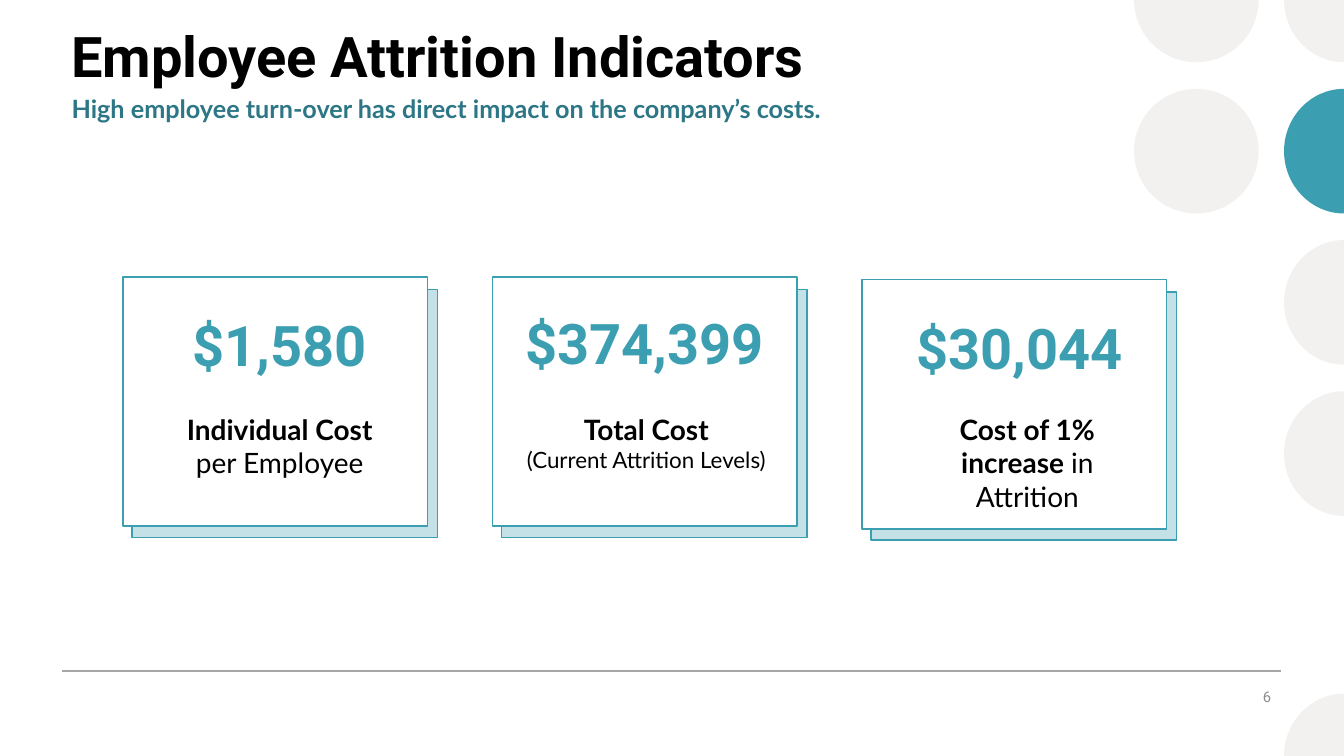
from lxml.etree import SubElement
from pptx import Presentation
from pptx.dml.color import RGBColor
from pptx.enum.shapes import MSO_CONNECTOR, MSO_SHAPE
from pptx.enum.text import MSO_ANCHOR as Anchor, PP_ALIGN as Align
from pptx.oxml.ns import qn
from pptx.util import Cm, Pt

# Content
TITLE = "Employee Attrition Indicators"
SUBTITLE = "High employee turn-over has direct impact on the company’s costs."
PAGE_NUMBER = "6"
# Label paragraphs hold runs of (text, size, bold); lengths are in cm
INDICATORS = [
    dict(figure="$1,580", card_top=6.98, figure_center=7.05, figure_top=7.70,
         label_center=7.05, label_width=6.02,
         label=[[("Individual Cost ", 20, True), ("per Employee", 20, False)]]),
    dict(figure="$374,399", card_top=6.98, figure_center=16.24, figure_top=7.65,
         label_center=16.29, label_width=7.16,
         label=[[("Total Cost", 20, True)],
                [("(Current Attrition Levels)", 16, False)]]),
    dict(figure="$30,044", card_top=7.05, figure_center=25.69, figure_top=7.77,
         label_center=25.89, label_width=6.55,
         label=[[("Cost of 1% increase ", 20, True), ("in Attrition", 20, False)]]),
]
COLORS = dict(teal="3B9EB1", dark_teal="2C7685", dot="F3F1F0", rule="A6A6A6",
              number="8C8C8C", black="000000", white="FFFFFF")

# Layout, in cm
SLIDE_W, SLIDE_H = 33.87, 19.05
CARD_LEFT, CARD_PITCH = 3.10, 9.31
CARD_W, CARD_H = 7.68, 6.28
SHADE_W, SHADE_H = 7.70, 6.25
SHADE_DX, SHADE_DY = 0.23, 0.31
FIGURE_W, FIGURE_H = 7.24, 1.96
LABEL_TOP, LABEL_H = 10.26, 1.96
# Dot columns: center, horizontal radius, rows
DOT_COLUMNS = [(30.15, 1.57, (1, 0)), (SLIDE_W, 1.51, (5, 3, 2, 1, 0))]
DOT_RADIUS_Y, DOT_PITCH = 1.57, 3.81
ACCENT_DOT = (SLIDE_W, 1)
QUARTER_ARC = 0.55  # Bezier handle length of a quarter circle


def rgb(name):
    return RGBColor.from_string(COLORS[name])


def place(part, left, top, width, height):
    part.left, part.top, part.width, part.height = map(Cm, (left, top, width, height))


def write(frame, paragraphs, font="Lato", color="black", align=Align.LEFT,
          anchor=Anchor.TOP, wrap=True, spacing=None):
    frame.word_wrap = wrap
    frame.vertical_anchor = anchor
    for index, runs in enumerate(paragraphs):
        paragraph = frame.add_paragraph() if index else frame.paragraphs[0]
        paragraph.alignment = align
        paragraph.space_before = Pt(0)
        paragraph.line_spacing = spacing
        for text, size, bold in runs:
            run = paragraph.add_run()
            run.text = text
            run.font.name, run.font.size, run.font.bold = font, Pt(size), bold
            run.font.color.rgb = rgb(color)


def paint(shape, fill, line=None, alpha=None):
    shape.shadow.inherit = False
    shape.fill.solid()
    shape.fill.fore_color.rgb = rgb(fill)
    if alpha:
        color = shape.fill._xPr.find(qn("a:solidFill"))[0]
        SubElement(color, qn("a:alpha")).set("val", str(alpha * 1000))
    if line:
        shape.line.color.rgb = rgb(line)
        shape.line.width = Pt(1)
    else:
        shape.line.fill.background()


def bend(shape, center, points):
    """Turn the lines between the points into quarter arcs about the center."""
    lines = list(shape._element.iter(qn("a:lnTo")))
    for line, start, end in zip(lines, points, points[1:]):
        handles = [[p + QUARTER_ARC * (q - c) for p, q, c in zip(near, far, center)]
                   for near, far in ((start, end), (end, start))]
        line.tag = qn("a:cubicBezTo")
        line.remove(line[0])
        for x, y in (*handles, end):
            point = SubElement(line, qn("a:pt"))
            point.set("x", str(round(x - shape.left)))
            point.set("y", str(round(y - shape.top)))


def add_dot(shapes, x, y, radius_x, color):
    """Draw a dot: whole, or the half or quarter inside the slide."""
    radius_y = DOT_RADIUS_Y
    corners = [(x + radius_x, y), (x, y + radius_y), (x - radius_x, y), (x, y - radius_y)]
    inside = [0 <= cx <= SLIDE_W and 0 <= cy <= SLIDE_H for cx, cy in corners]
    if all(inside):
        dot = shapes.add_shape(MSO_SHAPE.OVAL, Cm(x - radius_x), Cm(y - radius_y),
                               Cm(2 * radius_x), Cm(2 * radius_y))
    else:
        first = next(i for i in range(4) if inside[i] and not inside[i - 1])
        points = [tuple(map(Cm, corners[(first + i) % 4])) for i in range(sum(inside))]
        center = (Cm(x), Cm(y))
        builder = shapes.build_freeform(*points[0])
        builder.add_line_segments(points[1:] + [center], close=True)
        dot = builder.convert_to_shape()
        bend(dot, center, points)
    paint(dot, color)


def add_card(shapes, left, item):
    top = item["card_top"]
    shade = shapes.add_shape(MSO_SHAPE.RECTANGLE, Cm(left + SHADE_DX), Cm(top + SHADE_DY),
                             Cm(SHADE_W), Cm(SHADE_H))
    paint(shade, "teal", "teal", alpha=30)
    card = shapes.add_shape(MSO_SHAPE.RECTANGLE, Cm(left), Cm(top), Cm(CARD_W), Cm(CARD_H))
    paint(card, "white", "teal")
    figure = shapes.add_textbox(Cm(item["figure_center"] - FIGURE_W / 2),
                                Cm(item["figure_top"]), Cm(FIGURE_W), Cm(FIGURE_H))
    write(figure.text_frame, [[(item["figure"], 40, True)]], font="Roboto",
          color="teal", align=Align.CENTER, wrap=False)
    width = item["label_width"]
    label = shapes.add_textbox(Cm(item["label_center"] - width / 2), Cm(LABEL_TOP),
                               Cm(width), Cm(LABEL_H))
    write(label.text_frame, item["label"], align=Align.CENTER)


def main():
    deck = Presentation()
    deck.slide_width, deck.slide_height = Cm(SLIDE_W), Cm(SLIDE_H)
    slide = deck.slides.add_slide(deck.slide_layouts[1])
    shapes = slide.shapes
    title, subtitle = slide.placeholders

    # Dots along the right edge
    for x, radius_x, rows in DOT_COLUMNS:
        for row in rows:
            color = "teal" if (x, row) == ACCENT_DOT else "dot"
            add_dot(shapes, x, row * DOT_PITCH, radius_x, color)

    # Footer rule
    rule = shapes.add_connector(MSO_CONNECTOR.STRAIGHT, Cm(1.57), Cm(16.91),
                                Cm(32.28), Cm(16.91))
    rule.line.color.rgb = rgb("rule")
    rule.line.width = Pt(1)
    SubElement(rule._element.spPr, qn("a:effectLst"))

    # Title and subtitle
    place(title, 1.54, 0.41, 21.51, 3.53)
    write(title.text_frame, [[(TITLE, 40, True)]], font="Roboto")
    place(subtitle, 1.55, 2.31, 27.41, 0.89)
    properties = subtitle.text_frame.paragraphs[0]._p.get_or_add_pPr()
    properties.set("marL", "0")
    properties.set("indent", "0")
    SubElement(properties, qn("a:buNone"))
    write(subtitle.text_frame, [[(SUBTITLE, 18, True)]], color="dark_teal", spacing=0.9)

    # Indicator cards
    for index, item in enumerate(INDICATORS):
        add_card(shapes, CARD_LEFT + index * CARD_PITCH, item)

    # Page number
    number = shapes.add_textbox(Cm(30.02), Cm(17.05), Cm(2.26), Cm(1.02))
    write(number.text_frame, [[(PAGE_NUMBER, 10.5, False)]], font="Roboto",
          color="number", align=Align.RIGHT, anchor=Anchor.MIDDLE)

    deck.save("out.pptx")


if __name__ == "__main__":
    main()
